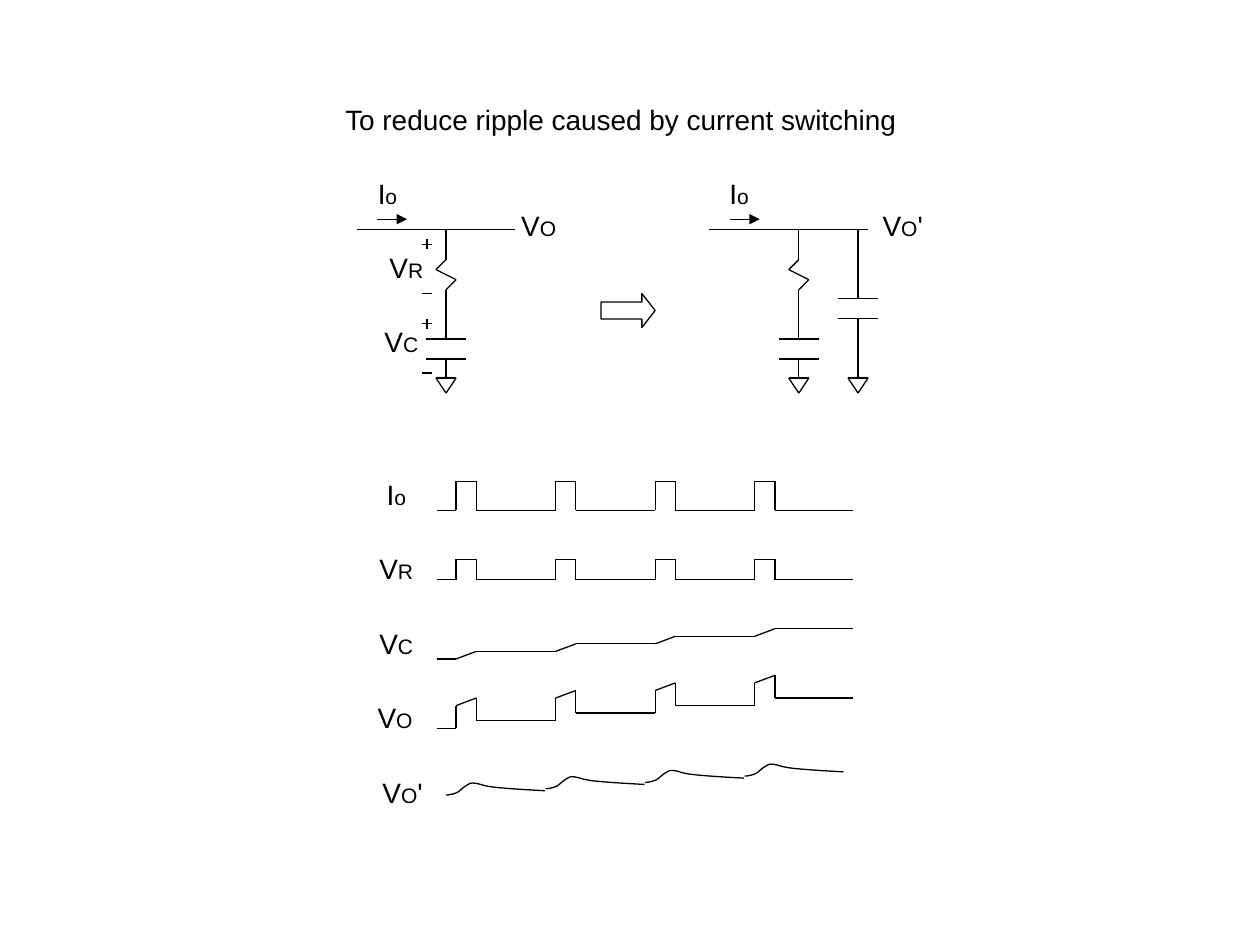
from itertools import pairwise
from lxml import etree
from pptx import Presentation
from pptx import util as u
from pptx.dml.color import RGBColor
from pptx.enum import shapes, text
from pptx.oxml.ns import qn

TITLE = "To reduce ripple caused by current switching"
BLACK = "000000"
BIG, SMALL = 16, 12

IO = [("I", BIG), ("o", SMALL)]
VR = [("V", BIG), ("R", SMALL)]
VC = [("V", BIG), ("C", SMALL)]
VO = [("V", BIG), ("O", SMALL)]
VO_NEW = VO + [("'", BIG)]

LABELS = [
    (IO, 2.84, 1.35, 0.47), (VR, 2.99, 1.94, 0.47), (VC, 2.95, 2.53, 0.47),
    (VO, 4.02, 1.61, 0.51), (IO, 5.63, 1.35, 0.47), (VO_NEW, 6.85, 1.61, 0.63),
    (IO, 2.91, 3.74, 0.47), (VR, 2.91, 4.33, 0.47), (VC, 2.91, 4.92, 0.47),
    (VO, 2.88, 5.51, 0.51), (VO_NEW, 2.88, 6.11, 0.63),
]
CIRCUITS = [2.83, 5.63]
WIRE_Y, GROUND_Y, WIRE_LEN, LEG = 1.82, 3.0, 1.26, 0.71
RESISTOR = [(0, WIRE_Y), (0, 2.06), (-0.08, 2.14), (0.08, 2.22), (0, 2.3)]
SIGNS_X, PLUS_Y, MINUS_DROP = 3.39, [1.94, 2.57], 0.39

WAVES = [
    dict(base=4.05, height=0.23, rise=0),
    dict(base=4.6, height=0.16, rise=0),
    dict(base=5.23, height=0, rise=0.06),
    dict(base=5.78, height=0.18, rise=0.06),
]
PULSES, PITCH, PULSE = 4, 0.79, 0.16
WAVE_LEFT, FIRST_PULSE, WAVE_RIGHT = 3.47, 3.62, 6.77

RIPPLE_AT, RIPPLE_STEP = (3.54, 6.31), 0.05
RIPPLE_HUNDREDTHS = [
    (1.5, 0), (3, -0.2), (4.5, -0.6),
    (6, -1), (7.5, -1.2), (9.5, -2.4),
    (11.5, -3.8), (14, -6.4), (16.5, -7.8),
    (18.5, -9.2), (19.5, -9.8), (23, -9.4),
    (27, -9), (29, -7.2), (38.5, -6.2),
    (47.5, -5.2), (63, -4.2), (78.5, -3.4),
]

prs = Presentation()
prs.slide_width, prs.slide_height = u.Inches(10), u.Inches(7.5)
s = prs.slides.add_slide(prs.slide_layouts[5])


def color(value):
    return RGBColor.from_string(value)


def outline(sp):
    sp.line.color.rgb = color(BLACK)
    sp.line.width = u.Pt(0.75)


def hollow(sp):
    sp.shadow.inherit = False
    sp.fill.background()
    outline(sp)


def place(sp, *box):
    sp.left, sp.top, sp.width, sp.height = map(u.Inches, box)


def write(sp, runs, font="Arial", align=text.PP_ALIGN.CENTER):
    tf = sp.text_frame
    tf.word_wrap = False
    tf.vertical_anchor = text.MSO_ANCHOR.TOP
    tf.auto_size = text.MSO_AUTO_SIZE.SHAPE_TO_FIT_TEXT
    p = tf.paragraphs[0]
    p.alignment = align
    for words, size in runs:
        r = p.add_run()
        r.text = words
        r.font.name, r.font.size = font, u.Pt(size)
        r.font.color.rgb = color(BLACK)


def lines(points, arrow=False):
    for a, b in pairwise(points):
        if a == b:
            continue
        sp = s.shapes.add_connector(
            shapes.MSO_CONNECTOR.STRAIGHT, *map(u.Inches, (*a, *b)))
        outline(sp)
        if arrow:
            etree.SubElement(sp.line._get_or_add_ln(), qn("a:tailEnd"), type="triangle")
        etree.SubElement(sp._element.spPr, qn("a:effectLst"))


def bar(x, y, half):
    lines([(x - half, y), (x + half, y)])


def capacitor(x, y):
    for plate in (y, y + 0.16):
        bar(x, plate, 0.16)
    lines([(x, y + 0.16), (x, GROUND_Y)])
    left, tip, right = (x - 0.08, GROUND_Y), (x, GROUND_Y + 0.12), (x + 0.08, GROUND_Y)
    lines([left, right, tip, left])


def circuit(left):
    lines([(left, WIRE_Y), (left + WIRE_LEN, WIRE_Y)])
    lines([(left + 0.16, 1.74), (left + 0.4, 1.74)], arrow=True)
    x = left + LEG
    lines([(x + dx, y) for dx, y in RESISTOR] + [(x, 2.69)])
    capacitor(x, 2.69)


def wave(base, height, rise):
    points = [(WAVE_LEFT, base)]
    for i in range(PULSES):
        x, y = FIRST_PULSE + i * PITCH, base - i * rise
        points += [(x, y), (x, y - height),
                   (x + PULSE, y - height - rise), (x + PULSE, y - rise)]
    lines(points + [(WAVE_RIGHT, base - PULSES * rise)])


def ripple(x, y):
    fb = s.shapes.build_freeform(u.Inches(x), u.Inches(y))
    fb.add_line_segments([(u.Inches(x + dx / 100), u.Inches(y + dy / 100))
                          for dx, dy in RIPPLE_HUNDREDTHS], close=False)
    sp = fb.convert_to_shape()
    segments = list(sp._element.iter(qn("a:lnTo")))
    outline_path = segments[0].getparent()
    for k in range(0, len(segments), 3):
        curve = etree.SubElement(outline_path, qn("a:cubicBezTo"))
        for segment in segments[k:k + 3]:
            curve.append(segment[0])
            outline_path.remove(segment)
    hollow(sp)


place(s.shapes.title, 2.64, 0.76, 4.8, 0.37)
write(s.shapes.title, [(TITLE, BIG)], align=text.PP_ALIGN.LEFT)

for left in CIRCUITS:
    circuit(left)
lines([(6.81, WIRE_Y), (6.81, 2.37)])
capacitor(6.81, 2.37)

for y in PLUS_Y:
    bar(SIGNS_X, y, 0.04)
    lines([(SIGNS_X, y - 0.04), (SIGNS_X, y + 0.04)])
    bar(SIGNS_X, y + MINUS_DROP, 0.04)

for signal in WAVES:
    wave(**signal)
for i in range(PULSES):
    ripple(RIPPLE_AT[0] + i * PITCH, RIPPLE_AT[1] - i * RIPPLE_STEP)

for runs, x, y, width in LABELS:
    sp = s.shapes.add_textbox(*map(u.Inches, (x, y, width, 0.37)))
    write(sp, runs)

sp = s.shapes.add_shape(
    shapes.MSO_SHAPE.RIGHT_ARROW, *map(u.Inches, (4.77, 2.33, 0.43, 0.27)))
sp.adjustments[0], sp.adjustments[1] = 0.5, 0.39
hollow(sp)

prs.save("out.pptx")
